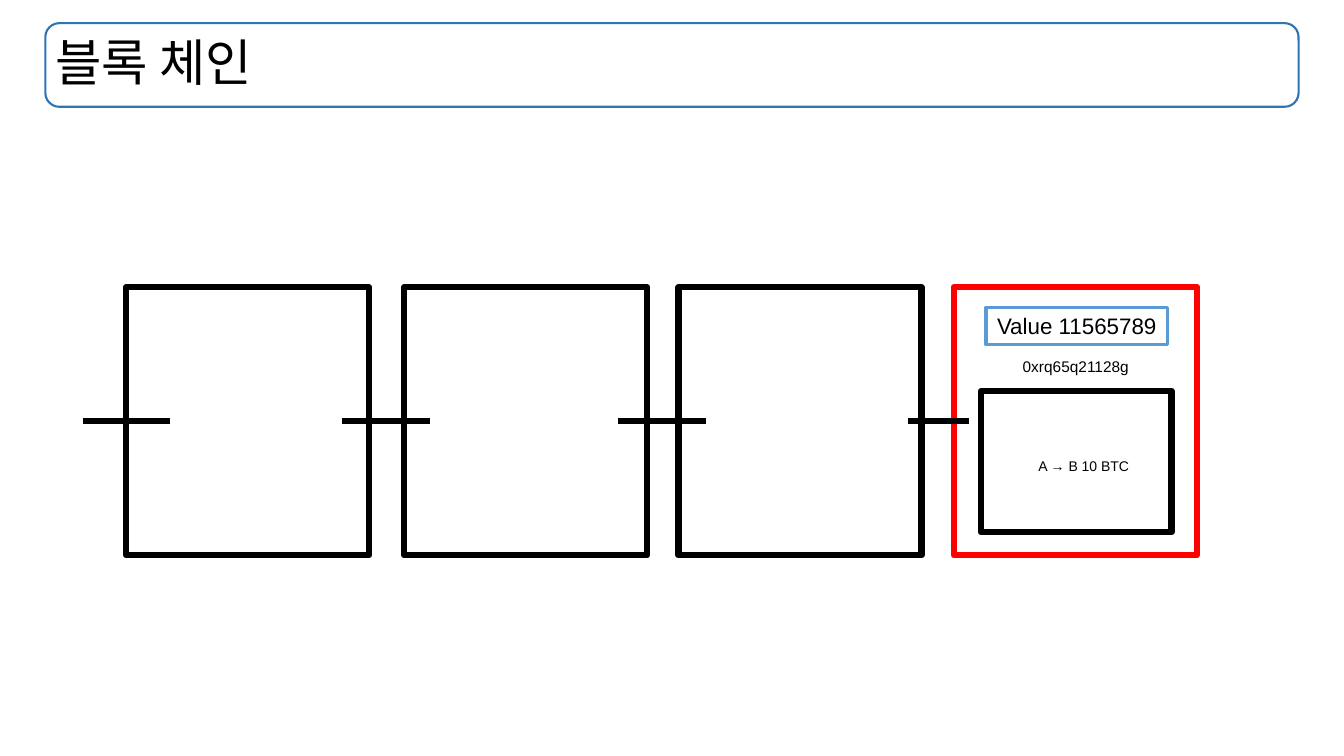
from pptx import Presentation
from pptx import util as u
from pptx.dml.color import RGBColor
from pptx.enum import shapes, text
from pptx.oxml.ns import qn
from lxml import etree

COLORS = {"ink": "000000", "frame": "2E75B6", "value": "5B9BD5", "new": "FF0000"}
FONT = "Arial"
HEAVY = 4.5
TITLE_AREA = (0.45, 0.23, 12.43, 0.83)
BLOCK_TOP, BLOCK_WIDTH, BLOCK_HEIGHT = 2.85, 2.41, 2.66
BLOCK_LEFTS = (1.25, 4.01, 6.73)
NEW_BLOCK_LEFT = 9.46
LINKS = ((1.69, 0.82), (4.26, 3.39), (7, 6.13), (9.61, 9.01))


def color(name):
    return RGBColor.from_string(COLORS[name])


class ChainSlide:
    def __init__(self, deck):
        self.page = deck.slides.add_slide(deck.slide_layouts[5])

    def set_text(self, shape, words, size, para_format, frame_format):
        frame = shape.text_frame
        for name, value in frame_format.items():
            setattr(frame, name, value)
        para = frame.paragraphs[0]
        for name, value in para_format.items():
            setattr(para, name, value)
        span = para.add_run()
        span.text = words
        for name, value in {"name": FONT, "size": u.Pt(size), "bold": False}.items():
            setattr(span.font, name, value)
        span.font.color.rgb = color("ink")

    def title(self, words, area):
        title = self.page.shapes.title
        for name, value in zip(("left", "top", "width", "height"), area):
            setattr(title, name, u.Inches(value))
        self.set_text(title, words, 36,
                      {"alignment": text.PP_ALIGN.LEFT, "line_spacing": 0.9},
                      {"vertical_anchor": text.MSO_ANCHOR.MIDDLE, "word_wrap": True,
                       "auto_size": text.MSO_AUTO_SIZE.NONE})

    def outline(self, area, line, weight=HEAVY, kind="RECTANGLE", parent=None):
        owner = parent or self.page
        box = owner.shapes.add_shape(shapes.MSO_SHAPE[kind], *map(u.Inches, area))
        box.shadow.inherit = False
        box.fill.background()
        box.line.color.rgb = color(line)
        box.line.width = u.Pt(weight)

    def label(self, area, words, size, align, wrap, parent, line=None):
        box = parent.shapes.add_textbox(*map(u.Inches, area))
        if line:
            box.line.color.rgb = color(line)
            box.line.width = u.Pt(2.25)
        self.set_text(box, words, size, {"alignment": text.PP_ALIGN[align]},
                      {"word_wrap": wrap,
                       "auto_size": text.MSO_AUTO_SIZE.SHAPE_TO_FIT_TEXT})

    def link(self, start, end, y):
        link = self.page.shapes.add_connector(
            shapes.MSO_CONNECTOR.STRAIGHT, *map(u.Inches, (start, y, end, y)))
        link.line.color.rgb = color("ink")
        link.line.width = u.Pt(HEAVY)
        etree.SubElement(link._element.spPr, qn("a:effectLst"))


def main():
    deck = Presentation()
    deck.slide_width, deck.slide_height = u.Inches(13.33), u.Inches(7.5)
    chain = ChainSlide(deck)

    chain.outline(TITLE_AREA, "frame", 1.5, "ROUNDED_RECTANGLE")
    chain.title("블록 체인", TITLE_AREA)

    new_block = chain.page.shapes.add_group_shape()
    chain.outline((9.73, 3.88, 1.89, 1.4), "ink", parent=new_block)
    chain.label((10.2, 4.49, 1.11, 0.27), "A → B 10 BTC", 10, "LEFT", False, new_block)
    chain.label((9.88, 3.49, 1.58, 0.29), "0xrq65q21128g", 11, "CENTER", True, new_block)
    chain.label((9.78, 3.05, 1.8, 0.37), "Value 11565789", 16, "CENTER", False,
                new_block, "value")
    chain.outline((NEW_BLOCK_LEFT, BLOCK_TOP, BLOCK_WIDTH, BLOCK_HEIGHT), "new",
                  parent=new_block)

    for left in BLOCK_LEFTS:
        chain.outline((left, BLOCK_TOP, BLOCK_WIDTH, BLOCK_HEIGHT), "ink")
    for start, end in LINKS:
        chain.link(start, end, BLOCK_TOP + BLOCK_HEIGHT / 2)

    deck.save("out.pptx")


if __name__ == "__main__":
    main()
